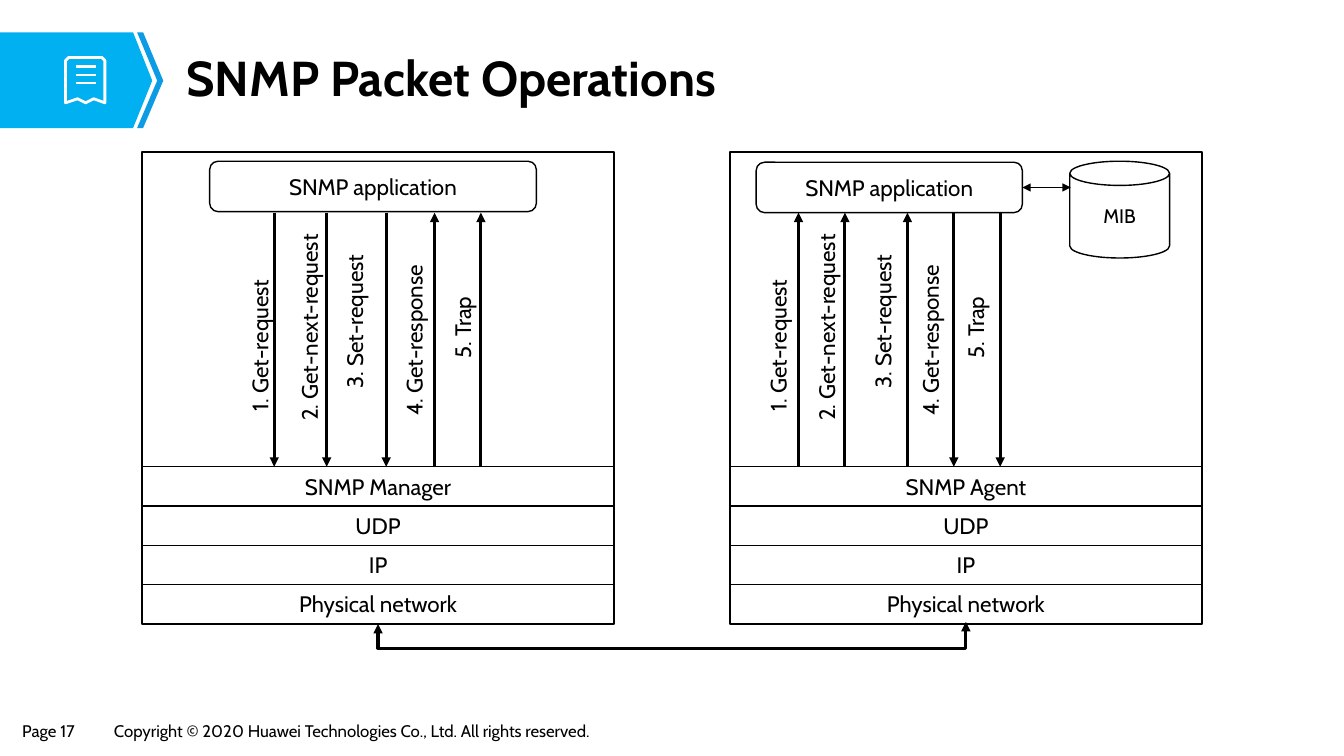
from lxml.etree import SubElement
from pptx import Presentation
from pptx.dml.color import RGBColor
from pptx.enum.shapes import MSO_CONNECTOR as Connector, MSO_SHAPE as Preset
from pptx.enum.text import MSO_ANCHOR as Anchor, MSO_AUTO_SIZE as AutoSize, PP_ALIGN as Align
from pptx.oxml.ns import qn
from pptx.util import Inches, Pt

FONT = "Cabin"
BLACK, WHITE = "000000", "FFFFFF"
SKY, BLUE = "00B0F0", "0B9CE5"

# Panel geometry, in grid cells of a tenth of an inch
PANEL_TOP, PANEL_SIZE = 15.1, 46.8
LAYER_TOP, LAYER_HEIGHT = 46.3, 3.9
ARROW_TOP = 21.1
LABEL_WIDTH = 4.9

# Message, label top, label height
MESSAGES = [
    ("1. Get-request", 25.7, 17.1),
    ("2. Get-next-request", 21, 23),
    ("3. Set-request", 22, 19.8),
    ("4. Get-response", 24.2, 19.1),
    ("5. Trap", 27.1, 10.8),
]


def cells(count):
    return Inches(count / 10)


def area(*sides):
    return [cells(side) for side in sides]


def color(hex_code):
    return RGBColor.from_string(hex_code)


def format_text(shape, text, size, align=Align.CENTER, anchor=Anchor.TOP,
                insets=(0.11, 0.05), wrap=True, bold=False):
    frame = shape.text_frame
    frame.text = text
    frame.word_wrap = wrap
    frame.auto_size = AutoSize.NONE
    frame.vertical_anchor = anchor
    frame.margin_left = frame.margin_right = Inches(insets[0])
    frame.margin_top = frame.margin_bottom = Inches(insets[1])
    paragraph = frame.paragraphs[0]
    paragraph.alignment = align
    font = paragraph.runs[0].font
    font.name, font.size, font.bold = FONT, Pt(size), bold
    font.color.rgb = color(BLACK)


def add_text(slide, box, text, size=16, vertical=False, **options):
    shape = slide.shapes.add_textbox(*area(*box))
    format_text(shape, text, size, **options)
    if vertical:
        shape.element.txBody.bodyPr.set("vert", "vert270")


def add_outline_shape(slide, preset, box, text="", size=16):
    shape = slide.shapes.add_shape(preset, *area(*box))
    shape.shadow.inherit = False
    shape.fill.background()
    shape.line.color.rgb = color(BLACK)
    shape.line.width = Pt(1)
    if text:
        format_text(shape, text, size, anchor=Anchor.MIDDLE)


def add_line(slide, start, end, width=1.0, ends=(), line_color=BLACK, kind=Connector.STRAIGHT):
    connector = slide.shapes.add_connector(kind, *area(*start, *end))
    connector.line.color.rgb = color(line_color)
    connector.line.width = Pt(width)
    properties = connector.element.spPr
    for end_name in ends:
        SubElement(properties.find(qn("a:ln")), qn(f"a:{end_name}"), type="triangle")
    SubElement(properties, qn("a:effectLst"))
    return connector


def add_polygon(slide, points, fill=None):
    corners = [tuple(area(*point)) for point in points]
    builder = slide.shapes.build_freeform(*corners[0])
    builder.add_line_segments(corners[1:], close=True)
    shape = builder.convert_to_shape()
    shape.shadow.inherit = False
    if fill:
        shape.fill.solid()
        shape.fill.fore_color.rgb = color(fill)
        shape.line.fill.background()
    else:
        shape.fill.background()
        shape.line.color.rgb = color(WHITE)
        shape.line.width = Pt(2)


def add_header(slide):
    # Arrow banner
    add_polygon(slide, [(0, 3.2), (13.2, 3.2), (15.1, 8), (13.2, 12.7), (0, 12.7)], SKY)
    add_polygon(slide, [(13.6, 3.2), (14.2, 3.2), (16.2, 8),
                        (14.2, 12.7), (13.6, 12.7), (15.6, 8)], BLUE)
    # Document icon with a torn lower edge
    add_polygon(slide, [(6.8, 5.7), (10.1, 5.7), (10.4, 6), (10.4, 10.2), (9.3, 9.8),
                        (8.5, 10.2), (7.7, 9.8), (6.5, 10.2), (6.5, 6)])
    for row in range(3):
        height = 6.6 + 0.8 * row
        add_line(slide, (7.5, height), (9.5, height), 1.5, line_color=WHITE)
    # Title
    title = slide.shapes.title
    title.left, title.top, title.width, title.height = area(17.4, 4.5, 107.5, 7)
    format_text(title, "SNMP Packet Operations", 35, Align.LEFT, Anchor.MIDDLE,
                (0.11, 0.06), bold=True)
    title.text_frame.paragraphs[0].line_spacing = 0.9


def add_panel(slide, left, role, application, labels, arrows, downward):
    # Frame and protocol layers
    add_outline_shape(slide, Preset.RECTANGLE, (left, PANEL_TOP, PANEL_SIZE, PANEL_SIZE))
    for index, layer in enumerate([role, "UDP", "IP", "Physical network"]):
        top = LAYER_TOP + index * LAYER_HEIGHT
        add_line(slide, (left, top), (left + PANEL_SIZE, top))
        add_text(slide, (left, top + 0.1, PANEL_SIZE, 3.6), layer)
    add_outline_shape(slide, Preset.ROUNDED_RECTANGLE, application, "SNMP application")
    # Messages between the application and the layers
    for message, label_left, arrow, down in zip(MESSAGES, labels, arrows, downward):
        text, top, height = message
        add_text(slide, (label_left, top, LABEL_WIDTH, height), text, vertical=True)
        start, end = (arrow, ARROW_TOP), (arrow, LAYER_TOP)
        if not down:
            start, end = end, start
        add_line(slide, start, end, 2.25, ["tailEnd"])


def add_network_link(slide):
    # An elbow turned a quarter, dropping below both panels
    left, top, width, height = 66.55, 32.65, 0.2, 58.3
    link = add_line(slide, (left + width, top + height), (left, top), 2.25,
                    ["headEnd", "tailEnd"], kind=Connector.ELBOW)
    properties = link.element.spPr
    properties.find(qn("a:xfrm")).set("rot", "5400000")
    geometry = properties.find(qn("a:prstGeom"))
    adjustments = geometry.find(qn("a:avLst"))
    if adjustments is None:
        adjustments = SubElement(geometry, qn("a:avLst"))
    SubElement(adjustments, qn("a:gd"), name="adj1", fmla="val -1200000")


def main():
    presentation = Presentation()
    presentation.slide_width, presentation.slide_height = Inches(13.33), Inches(7.5)
    slide = presentation.slides.add_slide(presentation.slide_layouts[5])
    add_header(slide)

    # Manager and agent
    add_panel(slide, 14.1, "SNMP Manager", (20.8, 16, 32.4, 5),
              labels=[23.3, 28.2, 32.7, 38.6, 43.4],
              arrows=[27.2, 32.4, 38.3, 43.1, 47.7],
              downward=[True, True, True, False, False])
    add_panel(slide, 72.4, "SNMP Agent", (75, 16.1, 26.4, 5),
              labels=[74.7, 79.5, 85.1, 89.8, 94.3],
              arrows=[79.2, 83.8, 90, 94.6, 99.2],
              downward=[False, False, False, True, True])

    # Information base and network link
    add_outline_shape(slide, Preset.CAN, (106.1, 16, 9.9, 9.6), "MIB", 14)
    add_line(slide, (101.4, 18.6), (106.2, 18.6), ends=["headEnd", "tailEnd"])
    add_network_link(slide)

    # Footer
    footer = [((1.3, 71.1, 8.1, 2.9), "Page 17"),
              ((10.4, 71.1, 54.1, 2.9),
               "Copyright © 2020 Huawei Technologies Co., Ltd. All rights reserved.")]
    for box, text in footer:
        add_text(slide, box, text, 12, align=Align.LEFT, insets=(0.09, 0.04), wrap=False)

    presentation.save("out.pptx")


if __name__ == "__main__":
    main()
